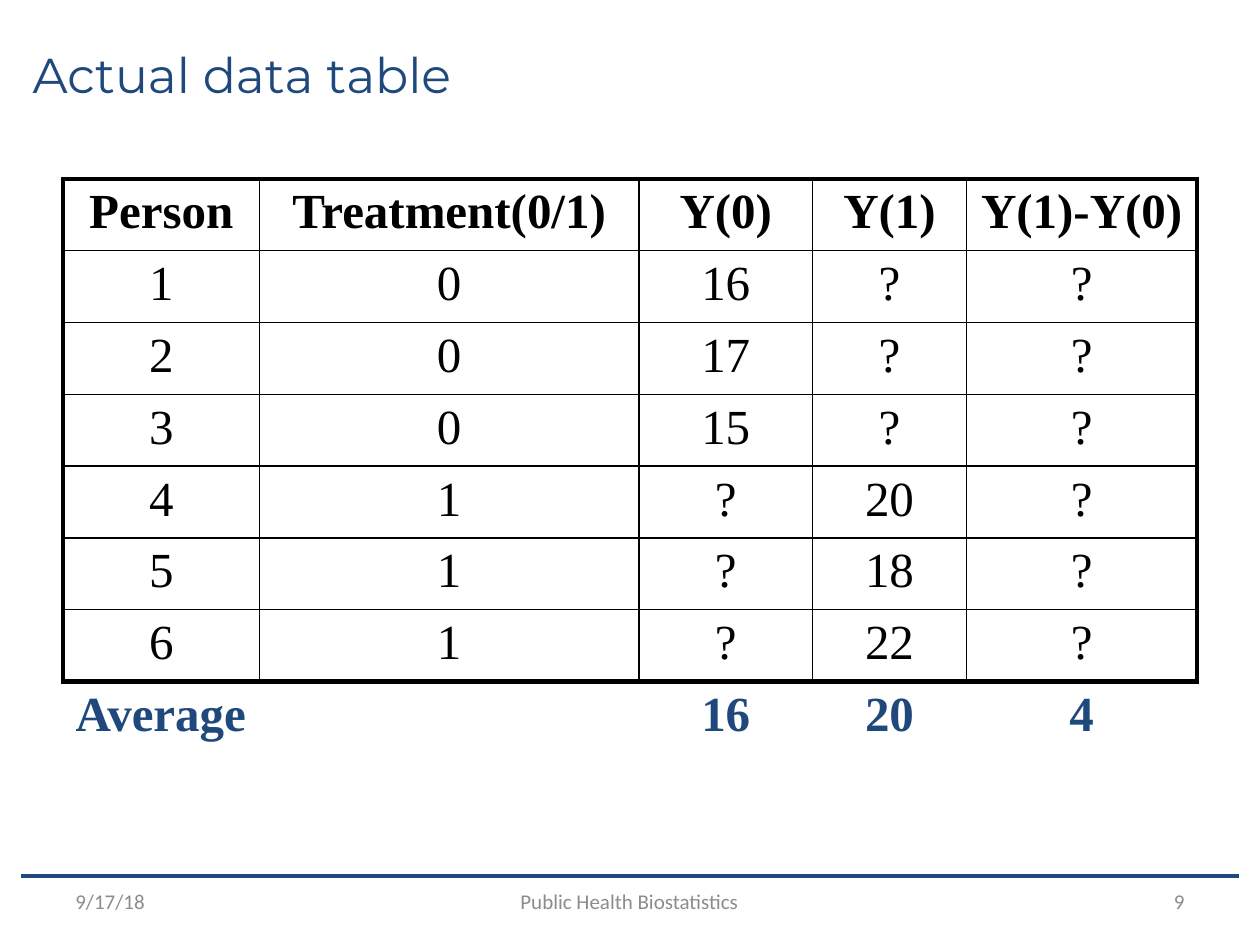
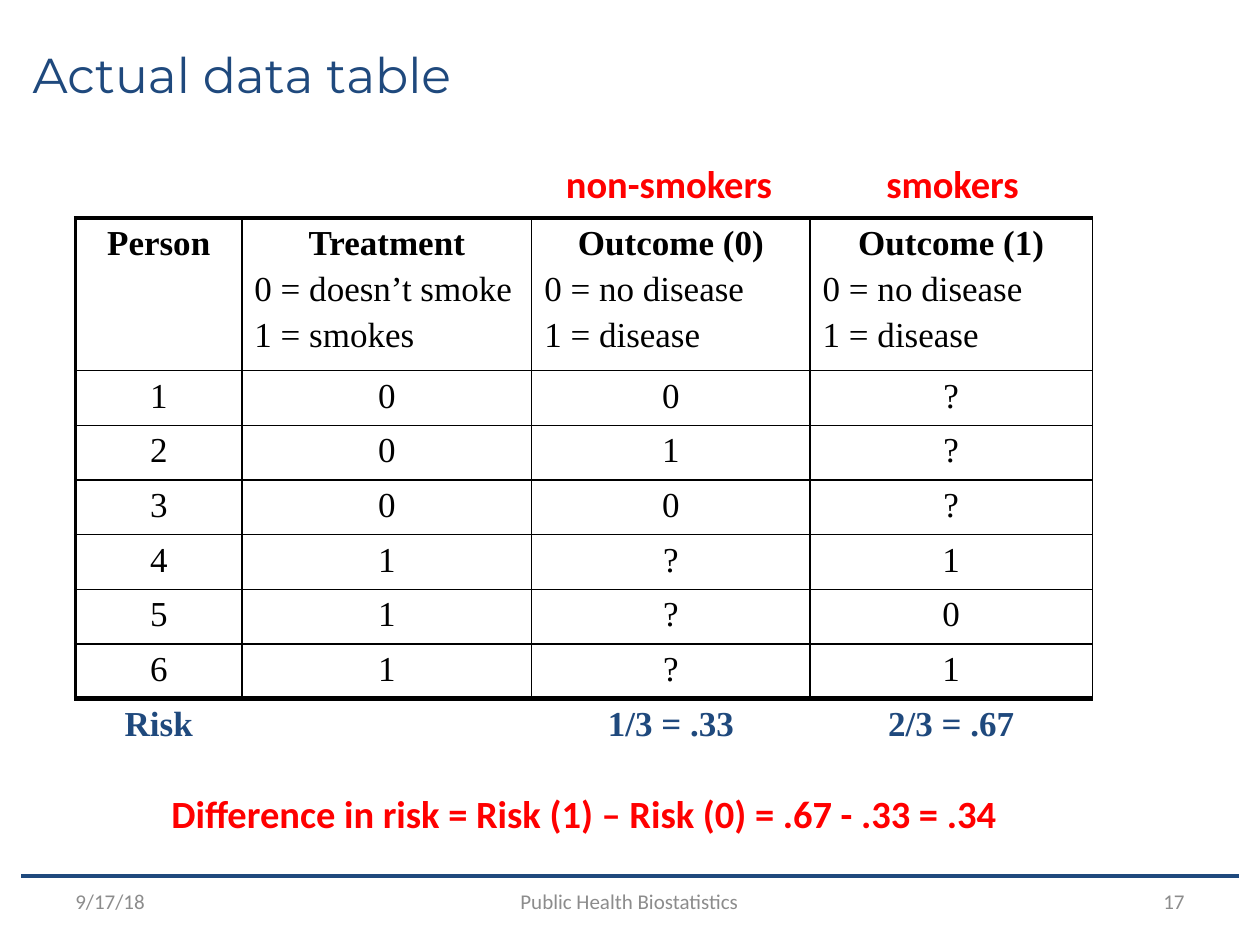
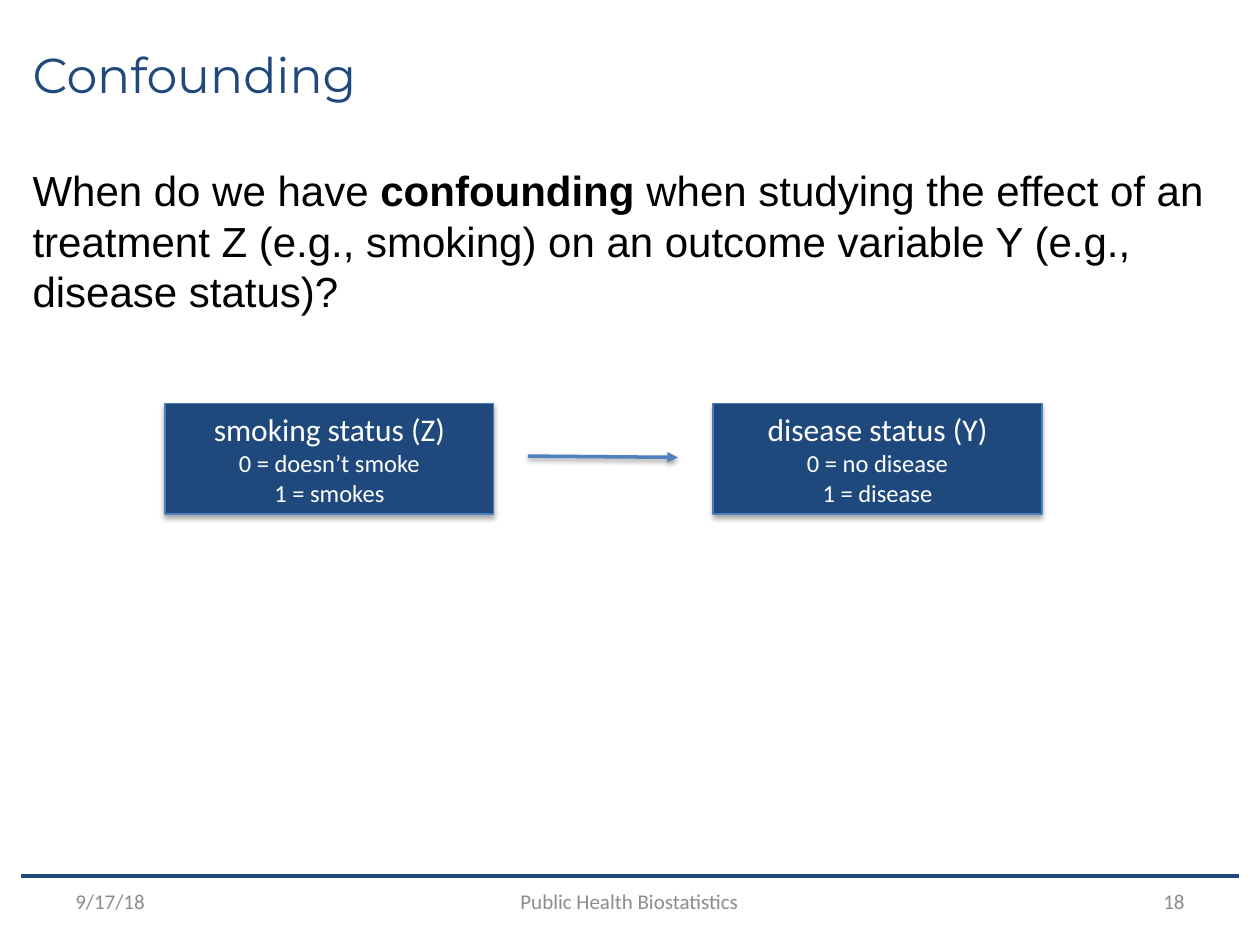
from lxml import etree
from pptx import Presentation
from pptx.dml.color import RGBColor
from pptx.enum.shapes import MSO_CONNECTOR, MSO_SHAPE
from pptx.enum.text import MSO_ANCHOR, PP_ALIGN
from pptx.oxml.ns import qn
from pptx.util import Pt

NAVY = RGBColor(0x1F, 0x49, 0x7D)
EDGE = RGBColor(0x4B, 0x7E, 0xBC)
BLUE = RGBColor(0x4F, 0x81, 0xBD)
GRAY = RGBColor(0x8C, 0x8C, 0x8C)
RED = RGBColor(0xFF, 0, 0)
BLACK = RGBColor(0, 0, 0)
WHITE = RGBColor(0xFF, 0xFF, 0xFF)
LEFT, MID, RIGHT = PP_ALIGN.LEFT, PP_ALIGN.CENTER, PP_ALIGN.RIGHT
TOP, CENTER = MSO_ANCHOR.TOP, MSO_ANCHOR.MIDDLE
RECT, STRAIGHT = MSO_SHAPE.RECTANGLE, MSO_CONNECTOR.STRAIGHT
SANS, SERIF, HEAD, BODY = "Calibri", "Times New Roman", "Montserrat", "Arial"
PX = 9144


def px(*nums):
    return [num * PX for num in nums]


def style(para, size, font, color, bold=False, align=LEFT):
    para.alignment = align
    for run in para.runs:
        run.font.size = Pt(size)
        run.font.name = font
        run.font.color.rgb = color
        run.font.bold = bold


def shade(effects, alpha, dist):
    cast = etree.SubElement(effects, qn("a:outerShdw"), blurRad=str(Pt(3.1)),
                            dist=str(Pt(dist)), dir="5400000", rotWithShape="0")
    tone = etree.SubElement(cast, qn("a:srgbClr"), val=str(BLACK))
    etree.SubElement(tone, qn("a:alpha"), val=str(alpha * 1000))


def border(cell, **widths):
    props = cell._tc.get_or_add_tcPr()
    for side in "LRTB":
        width = widths.get(side, 0)
        line = etree.SubElement(props, qn("a:ln" + side), w=str(Pt(width)))
        if width:
            fill = etree.SubElement(line, qn("a:solidFill"))
            etree.SubElement(fill, qn("a:srgbClr"), val=str(BLACK))
        else:
            etree.SubElement(line, qn("a:noFill"))


class Deck:
    def __init__(self):
        self.file = Presentation()
        self.file.slide_width, self.file.slide_height = px(1000, 750)

    def page(self, title, num):
        self.slide = self.file.slides.add_slide(self.file.slide_layouts[6])
        self.line(17, 695, 983, 695, NAVY, 2.5)
        self.text(title, 16, 14, 962, 90, 28, HEAD, NAVY, anchor=CENTER)
        foot = (("9/17/18", 50, 233, LEFT),
                ("Public Health Biostatistics", 283, 433, MID),
                (num, 717, 233, RIGHT))
        for text, x, wide, align in foot:
            self.text(text, x, 695, wide, 40, 12, SANS, GRAY, align=align, anchor=CENTER)

    def text(self, text, x, y, wide, high, size, font, color,
             bold=False, align=LEFT, anchor=TOP, wrap=True):
        frame = self.slide.shapes.add_textbox(*px(x, y, wide, high)).text_frame
        frame.word_wrap = wrap
        frame.vertical_anchor = anchor
        frame.text = text
        style(frame.paragraphs[0], size, font, color, bold, align)
        return frame.paragraphs[0]

    def note(self, text, x, y, wide):
        self.text(text, x, y, wide, 113, 22, SANS, RED, True, MID, wrap=False)

    def line(self, x, y, end, low, color, width):
        link = self.slide.shapes.add_connector(STRAIGHT, *px(x, y, end, low))
        link.line.color.rgb = color
        link.line.width = Pt(width)
        effects = etree.SubElement(link._element.spPr, qn("a:effectLst"))
        return link, effects

    def arrow(self, x, y, end, low):
        link, effects = self.line(x, y, end, low, BLUE, 2)
        etree.SubElement(link.line._get_or_add_ln(), qn("a:tailEnd"), type="triangle")
        shade(effects, 38, 1.6)

    def box(self, lines, x, y):
        box = self.slide.shapes.add_shape(RECT, *px(x, y, 261, 88))
        box.shadow.inherit = False
        shade(box._element.spPr.find(qn("a:effectLst")), 35, 1.8)
        box.fill.solid()
        box.fill.fore_color.rgb = NAVY
        box.line.color.rgb = EDGE
        box.line.width = Pt(0.75)
        frame = box.text_frame
        frame.vertical_anchor = CENTER
        frame.text = "\n".join(lines)
        for row, para in enumerate(frame.paragraphs):
            style(para, 14 if row else 18, SANS, WHITE, align=MID)

    def table(self, rows, x, y, cols, highs, size, edge, total=MID):
        last, end = len(rows) - 1, len(cols) - 1
        table = self.slide.shapes.add_table(
            len(rows), len(cols), *px(x, y, sum(cols), sum(highs))).table
        table.first_row = table.horz_banding = False
        for col, wide in zip(table.columns, cols):
            col.width = wide * PX
        for i, (row, high) in enumerate(zip(rows, highs)):
            table.rows[i].height = high * PX
            for j, text in enumerate(row):
                cell = table.cell(i, j)
                if i == last:
                    border(cell, T=3)
                else:
                    border(cell, L=1 if j else 2.25, R=edge if j == end else 1,
                           T=1 if i else 2.25, B=3 if i == last - 1 else 1)
                cell.fill.background()
                cell.text = text
                for k, para in enumerate(cell.text_frame.paragraphs):
                    align = LEFT if k else total if i == last and j == 0 else MID
                    style(para, size, SERIF, NAVY if i == last else BLACK,
                          i in (0, last) and k == 0, align)
                    if k:
                        para.space_before = Pt(size * 0.2)


def main():
    deck = Deck()

    deck.page("Actual data table", "9")
    rows = [("Person", "Treatment(0/1)", "Y(0)", "Y(1)", "Y(1)-Y(0)"),
            ("1", "0", "16", "?", "?"),
            ("2", "0", "17", "?", "?"),
            ("3", "0", "15", "?", "?"),
            ("4", "1", "?", "20", "?"),
            ("5", "1", "?", "18", "?"),
            ("6", "1", "?", "22", "?"),
            ("Average", "", "16", "20", "4")]
    deck.table(rows, 50, 142, (156, 301, 138, 122, 183), [57] * 8, 28, 2.25, LEFT)

    deck.page("Actual data table", "17")
    keys = "\n0 = no disease\n1 = disease"
    rows = [("Person", "Treatment\n0 = doesn’t smoke\n1 = smokes",
             "Outcome (0)" + keys, "Outcome (1)" + keys),
            ("1", "0", "0", "?"),
            ("2", "0", "1", "?"),
            ("3", "0", "0", "?"),
            ("4", "1", "?", "1"),
            ("5", "1", "?", "0"),
            ("6", "1", "?", "1"),
            ("Risk", "", "1/3 = .33", "2/3 = .67")]
    deck.table(rows, 60, 173, (132, 230, 221, 224), [114] + [41] * 7, 20, 1)
    deck.note("smokers", 646, 122, 220)
    deck.note("non-smokers", 421, 122, 220)
    deck.note("Difference in risk = Risk (1) – Risk (0) = .67 - .33 = .34", 117, 622, 693)

    deck.page("Confounding", "18")
    para = deck.text("When do we have ", 16, 126, 962, 331, 24, BODY, BLACK)
    para.add_run().text = "confounding "
    para.add_run().text = ("when studying the effect of an treatment Z (e.g., smoking) "
                           "on an outcome variable Y (e.g., disease status)?")
    style(para, 24, BODY, BLACK)
    para.runs[1].font.bold = True
    deck.box(("smoking status (Z)", "0 = doesn’t smoke", "1 = smokes"), 131, 320)
    deck.box(("disease status (Y)", "0 = no disease", "1 = disease"), 566, 320)
    deck.arrow(419, 362, 538, 363)

    deck.file.save("out.pptx")


if __name__ == "__main__":
    main()
